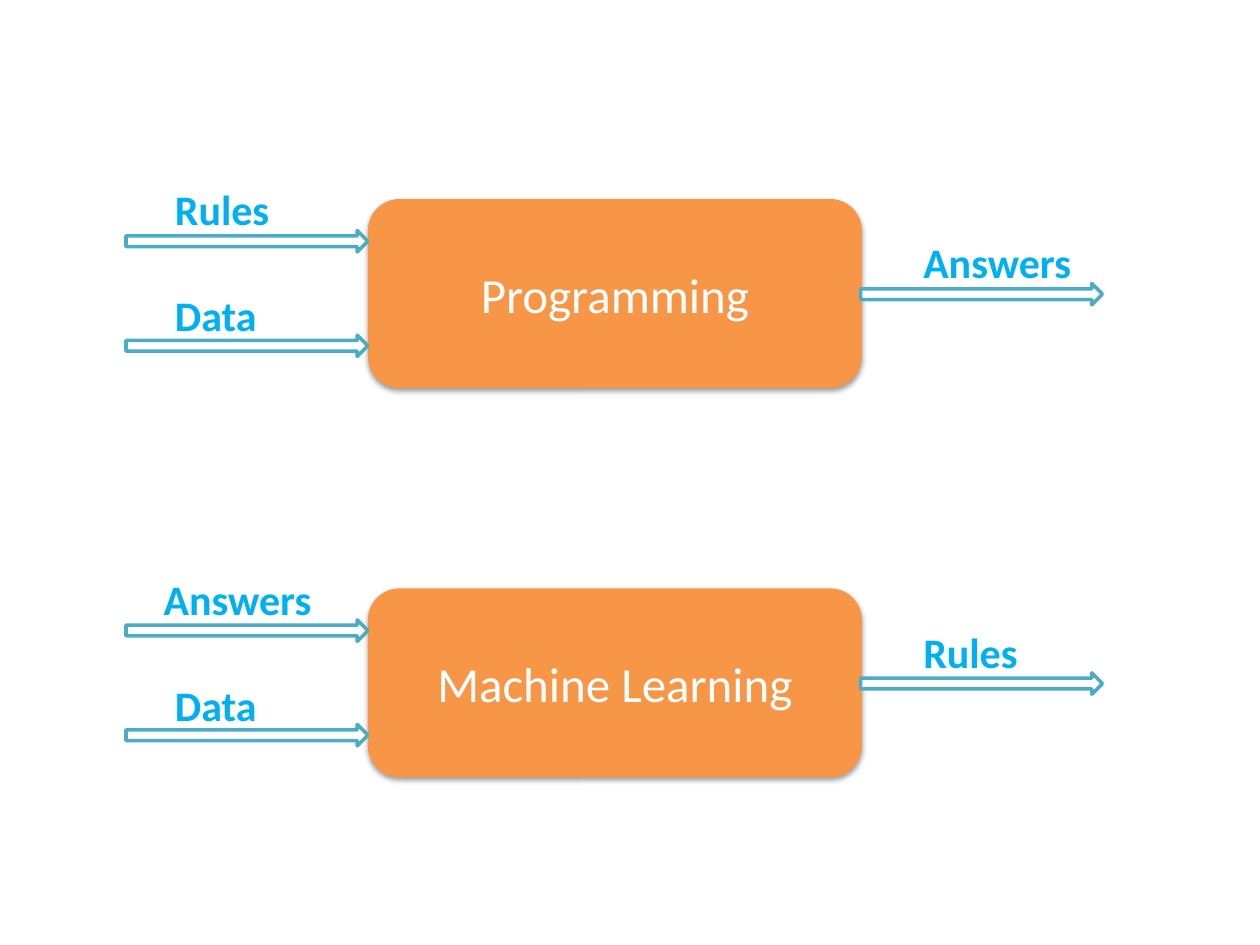
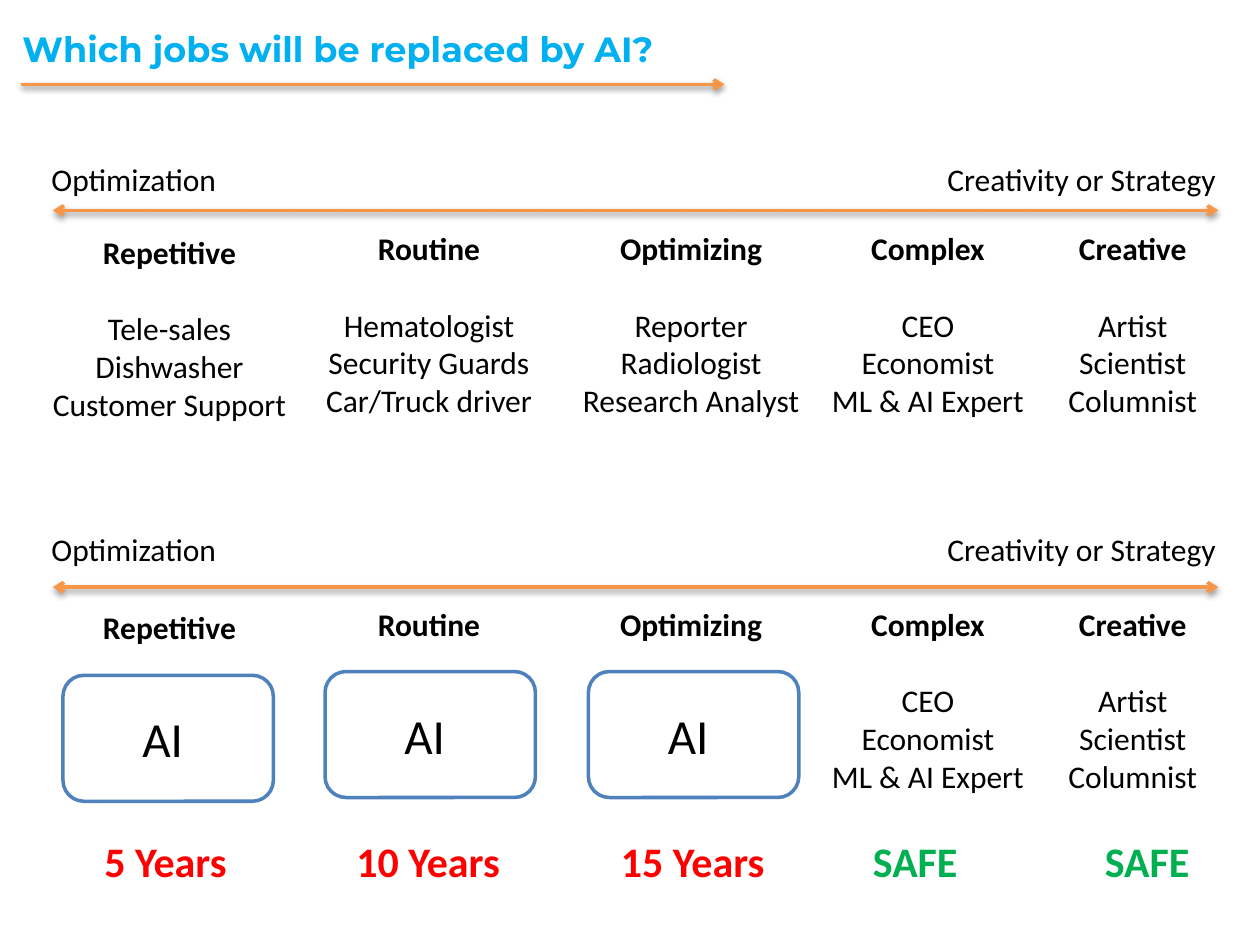
import pptx
import pptx.dml.color
import pptx.enum.shapes
import pptx.enum.text
import pptx.oxml
import pptx.oxml.ns
import pptx.util

Inches = pptx.util.Inches
Pt = pptx.util.Pt
RGBColor = pptx.dml.color.RGBColor
MSO_SHAPE = pptx.enum.shapes.MSO_SHAPE
PP_ALIGN = pptx.enum.text.PP_ALIGN

ORANGE = RGBColor(0xF7, 0x96, 0x46)
TEAL = RGBColor(0x4B, 0xAC, 0xC6)
SKY = RGBColor(0x00, 0xB0, 0xF0)
BLUE = RGBColor(0x4F, 0x81, 0xBD)
RED = RGBColor(0xFF, 0x00, 0x00)
GREEN = RGBColor(0x00, 0xB0, 0x50)
BLACK = RGBColor(0x00, 0x00, 0x00)
WHITE = RGBColor(0xFF, 0xFF, 0xFF)

BLANK_LINE = 22  # points, one line of 18 point text

SHADOW = (
    '<a:effectLst %s><a:outerShdw blurRad="%d" dist="%d" dir="5400000" rotWithShape="0">'
    '<a:srgbClr val="000000"><a:alpha val="38000"/></a:srgbClr></a:outerShdw></a:effectLst>'
    % (pptx.oxml.ns.nsdecls("a"), Pt(3.1), Pt(1.6))
)

# name, left, width, offset downwards, jobs, left of AI box, forecast, left of forecast, its width
JOB_COLUMNS = [
    ("Repetitive", 0.25, 2.19, 0.03, ["Tele-sales", "Dishwasher", "Customer Support"],
     0.5, "5 Years", 0.73, 1.18),
    ("Routine", 2.31, 2.19, 0, ["Hematologist", "Security Guards", "Car/Truck driver"],
     2.58, "10 Years", 2.73, 1.35),
    ("Optimizing", 4.39, 2.19, 0, ["Reporter", "Radiologist", "Research Analyst"],
     4.67, "15 Years", 4.83, 1.35),
    ("Complex", 6.48, 1.77, 0, ["CEO", "Economist", "ML & AI Expert"],
     None, "SAFE", 6.83, 0.88),
    ("Creative", 8.23, 1.52, 0, ["Artist", "Scientist", "Columnist"],
     None, "SAFE", 8.67, 0.88),
]


def write(paragraph, text, size=18, color=BLACK, bold=False, font="Calibri",
          align=PP_ALIGN.LEFT, space_before=0):
    paragraph.alignment = align
    paragraph.space_before = Pt(space_before)
    run = paragraph.add_run()
    run.text = text
    run.font.name = font
    run.font.size = Pt(size)
    run.font.bold = bold
    run.font.color.rgb = color


class Deck:
    """Holds the presentation, the current slide and the shared style."""

    def __init__(self):
        self.presentation = pptx.Presentation()
        self.presentation.slide_width = Inches(10)
        self.presentation.slide_height = Inches(7.5)
        self.slide = None

    def new_slide(self):
        self.slide = self.presentation.slides.add_slide(self.presentation.slide_layouts[6])

    def text(self, left, top, width, height, text="", wrap=True, grow=True, **style):
        box = self.slide.shapes.add_textbox(
            Inches(left), Inches(top), Inches(width), Inches(height))
        frame = box.text_frame
        frame.word_wrap = wrap
        if grow:
            frame.auto_size = pptx.enum.text.MSO_AUTO_SIZE.SHAPE_TO_FIT_TEXT
        if text:
            write(frame.paragraphs[0], text, **style)
        return frame

    def label(self, left, top, width, text, color=SKY, wrap=False):
        self.text(left, top, width, 0.5, text, wrap=wrap, size=24, color=color, bold=True)

    def shape(self, kind, left, top, width, height, fill, line=None):
        shape = self.slide.shapes.add_shape(
            kind, Inches(left), Inches(top), Inches(width), Inches(height))
        shape.shadow.inherit = False
        shape.fill.solid()
        shape.fill.fore_color.rgb = fill
        if line is None:
            shape.line.fill.background()
        else:
            shape.line.color.rgb = line
            shape.line.width = Pt(2)
        return shape

    def box(self, left, top, width, height, text, fill, color, line=None):
        shape = self.shape(MSO_SHAPE.ROUNDED_RECTANGLE, left, top, width, height, fill, line)
        shape.text_frame.vertical_anchor = pptx.enum.text.MSO_ANCHOR.MIDDLE
        write(shape.text_frame.paragraphs[0], text, size=28, color=color,
              align=PP_ALIGN.CENTER)
        return shape

    def shaded_box(self, *arguments):
        shape = self.box(*arguments)
        properties = shape.element.spPr
        properties.replace(properties.find(pptx.oxml.ns.qn("a:effectLst")),
                           pptx.oxml.parse_xml(SHADOW))

    def block_arrow(self, left, top):
        self.shape(MSO_SHAPE.RIGHT_ARROW, left, top, 1.92, 0.17, WHITE, TEAL)

    def line_arrow(self, left, right, top, ends=("tailEnd",)):
        connector = self.slide.shapes.add_connector(
            pptx.enum.shapes.MSO_CONNECTOR.STRAIGHT,
            Inches(left), Inches(top), Inches(right), Inches(top))
        connector.line.color.rgb = ORANGE
        connector.line.width = Pt(2)
        line = connector.line._get_or_add_ln()
        for end in ends:
            line.append(pptx.oxml.parse_xml(
                '<a:%s %s type="arrow"/>' % (end, pptx.oxml.ns.nsdecls("a"))))
        connector.element.spPr.append(pptx.oxml.parse_xml(SHADOW))

    def process(self, top, name, first_input, output):
        """Draw a process box with two inputs on the left and one output on the right."""
        self.shaded_box(2.92, top, 3.92, 1.5, name, ORANGE, WHITE)
        for left, offset in ((1, 0.25), (1, 1.08), (6.83, 0.67)):
            self.block_arrow(left, top + offset)
        input_text, input_left, input_width = first_input
        self.label(input_left, top - 0.17, input_width, input_text)
        self.label(1.29, top + 0.67, 0.86, "Data")
        self.label(7.23, top + 0.25, 1.44, output, wrap=True)

    def scale(self, label_top, line_top):
        self.line_arrow(0.42, 9.67, line_top, ("headEnd", "tailEnd"))
        self.text(0.31, label_top, 1.52, 0.4, "Optimization", wrap=False)
        self.text(7.42, label_top, 2.42, 0.4, "Creativity or Strategy")

    def job_column(self, left, top, width, name, jobs=()):
        frame = self.text(left, top, width, 1.62 if jobs else 0.4, name,
                          bold=True, align=PP_ALIGN.CENTER)
        for index, job in enumerate(jobs):
            write(frame.add_paragraph(), job, align=PP_ALIGN.CENTER,
                  space_before=0 if index else BLANK_LINE)


def build_processes(deck):
    deck.new_slide()
    deck.process(1.58, "Programming", ("Rules", 1.29, 0.96), "Answers")
    deck.process(4.67, "Machine Learning", ("Answers", 1.2, 1.39), "Rules")


def build_jobs(deck):
    deck.new_slide()
    deck.text(0.08, 0.17, 5.67, 0.5, "Which jobs will be replaced by AI?", grow=False,
              size=20, color=SKY, bold=True, font="Montserrat")
    deck.line_arrow(0.17, 5.75, 0.67)
    deck.scale(1.22, 1.67)
    deck.scale(4.16, 4.66)
    for (name, left, width, offset, jobs, box_left,
         forecast, forecast_left, forecast_width) in JOB_COLUMNS:
        replaced = box_left is not None
        deck.job_column(left, 1.77 + offset, width, name, jobs)
        deck.job_column(left, 4.75 + offset, width, name, () if replaced else jobs)
        if replaced:
            deck.box(box_left, 5.33 + offset, 1.67, 1, "AI ", WHITE, BLACK, BLUE)
        deck.label(forecast_left, 6.58, forecast_width, forecast, RED if replaced else GREEN)


def main():
    deck = Deck()
    build_processes(deck)
    build_jobs(deck)
    deck.presentation.save("out.pptx")


if __name__ == "__main__":
    main()
